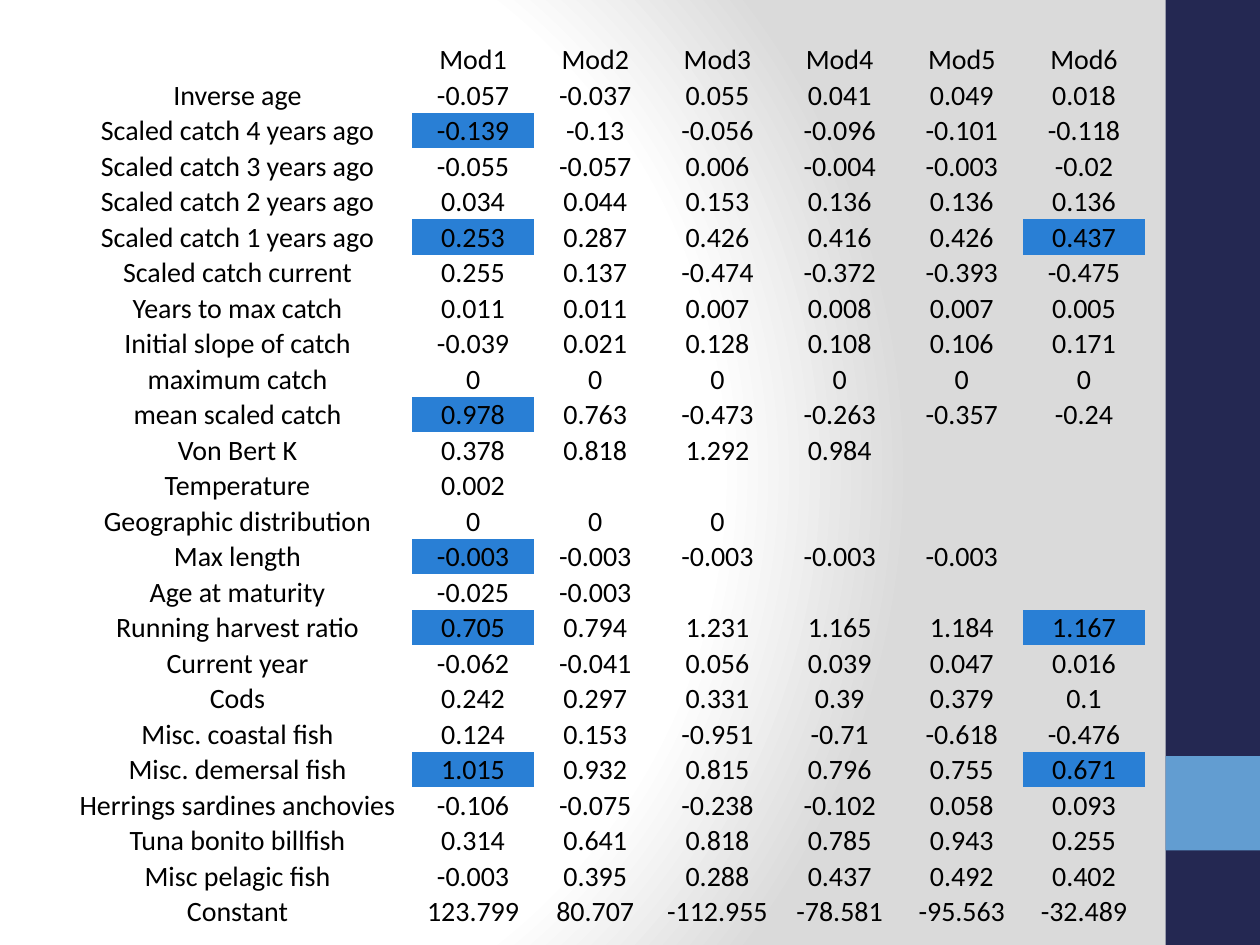
from lxml import etree
from pptx import Presentation
from pptx.dml.color import RGBColor
from pptx.enum.shapes import MSO_SHAPE
from pptx.enum.text import MSO_ANCHOR, PP_ALIGN
from pptx.oxml import parse_xml
from pptx.oxml.ns import nsdecls, qn
from pptx.util import Inches, Pt

NAVY = RGBColor(0x24, 0x28, 0x52)
SKY = RGBColor(0x62, 0x9D, 0xD1)
HIGHLIGHT = RGBColor(0x29, 0x7F, 0xD5)
BLACK = RGBColor(0, 0, 0)

FONT, FONT_SIZE = "Calibri", 16
NO_STYLE_NO_GRID = "{2D5ABB26-0587-4C30-8999-92F81FD0307C}"
LABEL_W, VALUE_W, ROW_H = 2.77, 0.97, 0.26
CELL_FORMAT = {
    "margin_left": Inches(0.01),
    "margin_right": Inches(0.01),
    "margin_top": Inches(0.01),
    "margin_bottom": 0,
    "vertical_anchor": MSO_ANCHOR.BOTTOM,
}

MODELS = ["Mod1", "Mod2", "Mod3", "Mod4", "Mod5", "Mod6"]
COEFFICIENTS = [
    ("Inverse age", "-0.057 -0.037 0.055 0.041 0.049 0.018"),
    ("Scaled catch 4 years ago", "-0.139 -0.13 -0.056 -0.096 -0.101 -0.118"),
    ("Scaled catch 3 years ago", "-0.055 -0.057 0.006 -0.004 -0.003 -0.02"),
    ("Scaled catch 2 years ago", "0.034 0.044 0.153 0.136 0.136 0.136"),
    ("Scaled catch 1 years ago", "0.253 0.287 0.426 0.416 0.426 0.437"),
    ("Scaled catch current", "0.255 0.137 -0.474 -0.372 -0.393 -0.475"),
    ("Years to max catch", "0.011 0.011 0.007 0.008 0.007 0.005"),
    ("Initial slope of catch", "-0.039 0.021 0.128 0.108 0.106 0.171"),
    ("maximum catch", "0 0 0 0 0 0"),
    ("mean scaled catch", "0.978 0.763 -0.473 -0.263 -0.357 -0.24"),
    ("Von Bert K", "0.378 0.818 1.292 0.984"),
    ("Temperature", "0.002"),
    ("Geographic distribution", "0 0 0"),
    ("Max length", "-0.003 -0.003 -0.003 -0.003 -0.003"),
    ("Age at maturity", "-0.025 -0.003"),
    ("Running harvest ratio", "0.705 0.794 1.231 1.165 1.184 1.167"),
    ("Current year", "-0.062 -0.041 0.056 0.039 0.047 0.016"),
    ("Cods", "0.242 0.297 0.331 0.39 0.379 0.1"),
    ("Misc. coastal fish", "0.124 0.153 -0.951 -0.71 -0.618 -0.476"),
    ("Misc. demersal fish", "1.015 0.932 0.815 0.796 0.755 0.671"),
    ("Herrings sardines anchovies", "-0.106 -0.075 -0.238 -0.102 0.058 0.093"),
    ("Tuna bonito billfish", "0.314 0.641 0.818 0.785 0.943 0.255"),
    ("Misc pelagic fish", "-0.003 0.395 0.288 0.437 0.492 0.402"),
    ("Constant", "123.799 80.707 -112.955 -78.581 -95.563 -32.489"),
]
HIGHLIGHTED = {
    "Scaled catch 4 years ago": ["Mod1"],
    "Scaled catch 1 years ago": ["Mod1", "Mod6"],
    "mean scaled catch": ["Mod1"],
    "Max length": ["Mod1"],
    "Running harvest ratio": ["Mod1", "Mod6"],
    "Misc. demersal fish": ["Mod1", "Mod6"],
}
SIDE_BANDS = [(0, 7.5, NAVY), (6, 0.75, SKY)]  # top, height, colour
BACKGROUND_STOPS = [(0, "FFFFFF"), (75, "FFFFFF"), (100, "DADADA")]


def set_background(s):
    """Give the slide a circular gradient centred towards the left."""
    stops = "".join(
        f'<a:gs pos="{pos * 1000}"><a:srgbClr val="{colour}"/></a:gs>'
        for pos, colour in BACKGROUND_STOPS
    )
    bg = parse_xml(
        f'<p:bg {nsdecls("p", "a")}><p:bgPr><a:gradFill rotWithShape="1">'
        f'<a:gsLst>{stops}</a:gsLst><a:path path="circle">'
        '<a:fillToRect l="20000" t="50000" r="100000" b="50000"/></a:path>'
        "</a:gradFill><a:effectLst/></p:bgPr></p:bg>"
    )
    s.element.cSld.insert(0, bg)


def add_side_bands(s):
    for top, height, colour in SIDE_BANDS:
        band = s.shapes.add_shape(
            MSO_SHAPE.RECTANGLE, Inches(9.25), Inches(top), Inches(0.75), Inches(height)
        )
        band.shadow.inherit = False
        band.fill.solid()
        band.fill.fore_color.rgb = colour
        band.line.fill.background()


def fill_cell(cell, text, highlighted):
    for name, value in CELL_FORMAT.items():
        setattr(cell, name, value)
    if highlighted:
        cell.fill.solid()
        cell.fill.fore_color.rgb = HIGHLIGHT
    else:
        cell.fill.background()
    p = cell.text_frame.paragraphs[0]
    p.alignment = PP_ALIGN.CENTER
    if text:
        r = p.add_run()
        r.text = text
        r.font.name, r.font.size = FONT, Pt(FONT_SIZE)
        r.font.color.rgb = BLACK
    else:  # keeps an empty cell from stretching its row
        end = etree.SubElement(p._p, qn("a:endParaRPr"), sz=str(FONT_SIZE * 100))
        etree.SubElement(end, qn("a:latin"), typeface=FONT)


def add_coefficient_table(s):
    rows = [("", MODELS)] + [(label, values.split()) for label, values in COEFFICIENTS]
    widths = [LABEL_W] + [VALUE_W] * len(MODELS)
    frame = s.shapes.add_table(
        len(rows), len(widths), Inches(0.5), Inches(0.33),
        Inches(sum(widths)), Inches(ROW_H * len(rows)),
    )
    table = frame.table
    table.first_row = table.horz_banding = False
    table._tbl.tblPr.find(qn("a:tableStyleId")).text = NO_STYLE_NO_GRID
    for column, width in zip(table.columns, widths):
        column.width = Inches(width)
    for i, (label, values) in enumerate(rows):
        table.rows[i].height = Inches(ROW_H)
        padded = values + [""] * (len(MODELS) - len(values))
        fill_cell(table.cell(i, 0), label, False)
        for j, (model, value) in enumerate(zip(MODELS, padded), start=1):
            fill_cell(table.cell(i, j), value, model in HIGHLIGHTED.get(label, []))


def main():
    prs = Presentation()
    prs.slide_width, prs.slide_height = Inches(10), Inches(7.5)
    s = prs.slides.add_slide(prs.slide_layouts[6])
    set_background(s)
    add_side_bands(s)
    add_coefficient_table(s)
    prs.save("out.pptx")


if __name__ == "__main__":
    main()
